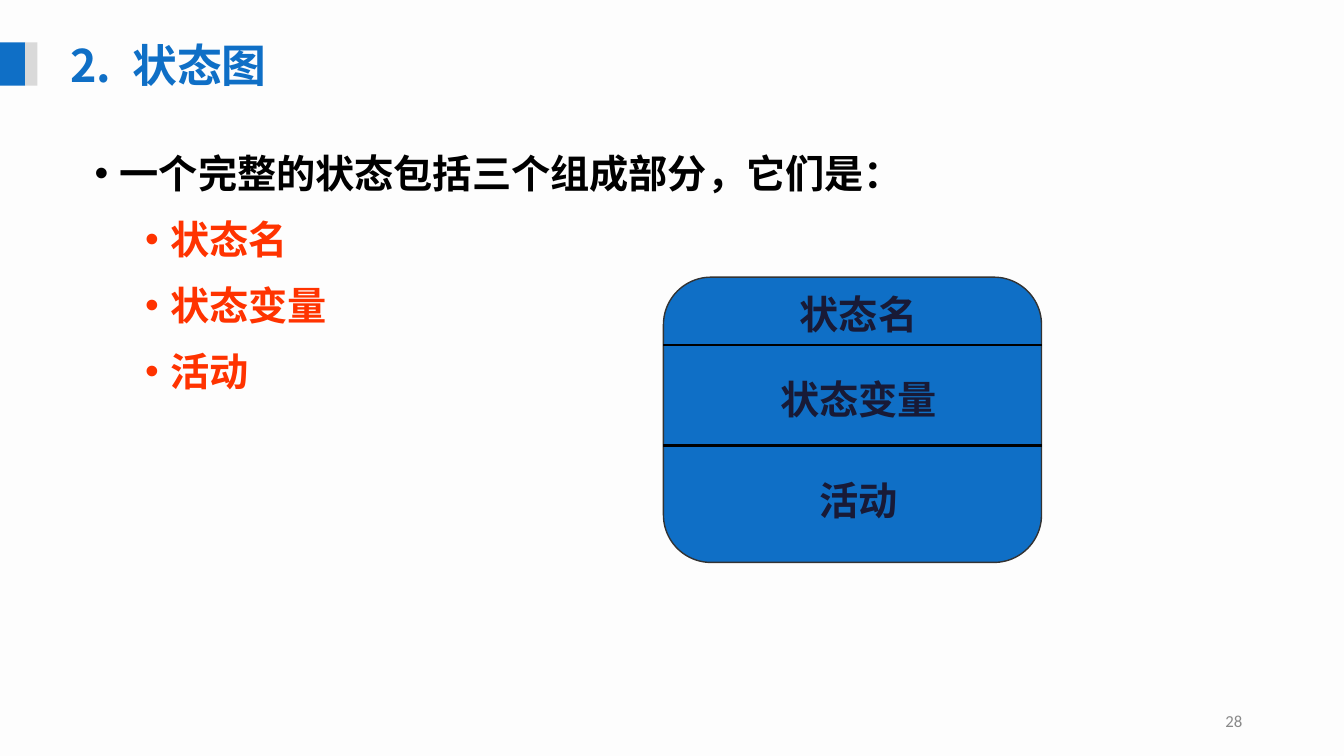
from lxml import etree
from pptx import Presentation
from pptx.dml.color import RGBColor
from pptx.enum.shapes import MSO_CONNECTOR, MSO_SHAPE
from pptx.enum.text import MSO_ANCHOR, PP_ALIGN
from pptx.oxml.ns import qn
from pptx.util import Inches, Pt

BLUE = RGBColor(0x0F, 0x6F, 0xC6)
LIGHT_GRAY = RGBColor(0xD9, 0xD9, 0xD9)
NUMBER_GRAY = RGBColor(0x89, 0x89, 0x89)
OUTLINE = RGBColor(0x33, 0x33, 0x33)
NAVY = RGBColor(0x18, 0x1A, 0x36)
RED = RGBColor(0xFF, 0x33, 0x00)
BLACK = RGBColor(0, 0, 0)
PAPER = RGBColor(0xFD, 0xFD, 0xFD)

SANS = "Noto Sans CJK SC"
SERIF = "Times New Roman"
STATE_PARTS = ["状态名", "状态变量", "活动"]
STATE_LEFT, STATE_WIDTH = 6.58, 3.75


def add_run(paragraph, text, size, color, font=SANS, bold=True):
    run = paragraph.add_run()
    run.text = text
    run.font.size = Pt(size)
    run.font.bold = bold
    run.font.color.rgb = color
    run.font.name = font
    properties = run.font._element
    etree.SubElement(properties, qn("a:ea")).set("typeface", SANS)
    return run


def add_text_box(slide, left, top, width, height, anchor=MSO_ANCHOR.MIDDLE):
    box = slide.shapes.add_textbox(Inches(left), Inches(top), Inches(width), Inches(height))
    frame = box.text_frame
    frame.word_wrap = True
    frame.vertical_anchor = anchor
    return frame


def add_label(slide, left, top, width, height, text, size, color, font, align, bold=True):
    paragraph = add_text_box(slide, left, top, width, height).paragraphs[0]
    paragraph.alignment = align
    add_run(paragraph, text, size, color, font, bold)


def add_block(slide, kind, left, top, width, height, fill):
    shape = slide.shapes.add_shape(kind, Inches(left), Inches(top), Inches(width), Inches(height))
    shape.shadow.inherit = False
    shape.fill.solid()
    shape.fill.fore_color.rgb = fill
    shape.line.fill.background()
    return shape


def add_divider(slide, top):
    line = slide.shapes.add_connector(
        MSO_CONNECTOR.STRAIGHT, Inches(STATE_LEFT), Inches(top),
        Inches(STATE_LEFT + STATE_WIDTH), Inches(top))
    line.line.color.rgb = BLACK
    line.line.width = Pt(1.5)
    etree.SubElement(line._element.spPr, qn("a:effectLst"))


def add_bullet(paragraph, text, color, level=0):
    properties = paragraph._p.get_or_add_pPr()
    properties.set("marL", str(Inches(0.25 + 0.5 * level)))
    properties.set("indent", str(Inches(-0.25)))
    etree.SubElement(properties, qn("a:buFont")).set("typeface", "Arial")
    etree.SubElement(properties, qn("a:buChar")).set("char", "•")
    paragraph.level = level
    paragraph.line_spacing = 1.25
    if level:
        paragraph.space_before = Pt(5)
    add_run(paragraph, text, 28, color)


def add_title(slide):
    for left, width, color in [(0, 0.25, BLUE), (0.25, 0.12, LIGHT_GRAY)]:
        add_block(slide, MSO_SHAPE.RECTANGLE, left, 0.42, width, 0.43, color)
    paragraph = add_text_box(slide, 0.6, 0.32, 7.82, 0.64).paragraphs[0]
    add_run(paragraph, "2.", 32, BLUE)
    gap = add_run(paragraph, " ", 32, BLUE)
    gap.font._element.set("spc", "750")
    add_run(paragraph, "状态图", 32, BLUE)


def add_bullets(slide):
    frame = add_text_box(slide, 0.84, 1.32, 9.3, 5.3, MSO_ANCHOR.TOP)
    add_bullet(frame.paragraphs[0], "一个完整的状态包括三个组成部分，它们是：", BLACK)
    for part in STATE_PARTS:
        add_bullet(frame.add_paragraph(), part, RED, level=1)


def add_state_diagram(slide):
    state = add_block(slide, MSO_SHAPE.FLOWCHART_ALTERNATE_PROCESS,
                      STATE_LEFT, 2.75, STATE_WIDTH, 2.83, BLUE)
    state.line.color.rgb = OUTLINE
    state.line.width = Pt(1)
    for top in (3.42, 4.42):
        add_divider(slide, top)
    for part, top in zip(STATE_PARTS, (2.83, 3.67, 4.67)):
        add_label(slide, 7.5, top, 2.03, 0.57, part, 28, NAVY, SERIF, PP_ALIGN.CENTER)


def main():
    presentation = Presentation()
    presentation.slide_width = Inches(13.33)
    presentation.slide_height = Inches(7.5)
    slide = presentation.slides.add_slide(presentation.slide_layouts[6])
    slide.background.fill.solid()
    slide.background.fill.fore_color.rgb = PAPER
    add_title(slide)
    add_bullets(slide)
    add_state_diagram(slide)
    add_label(slide, 9.42, 6.95, 3, 0.4, "28", 12, NUMBER_GRAY, "Calibri",
              PP_ALIGN.RIGHT, bold=False)
    presentation.save("out.pptx")


if __name__ == "__main__":
    main()
